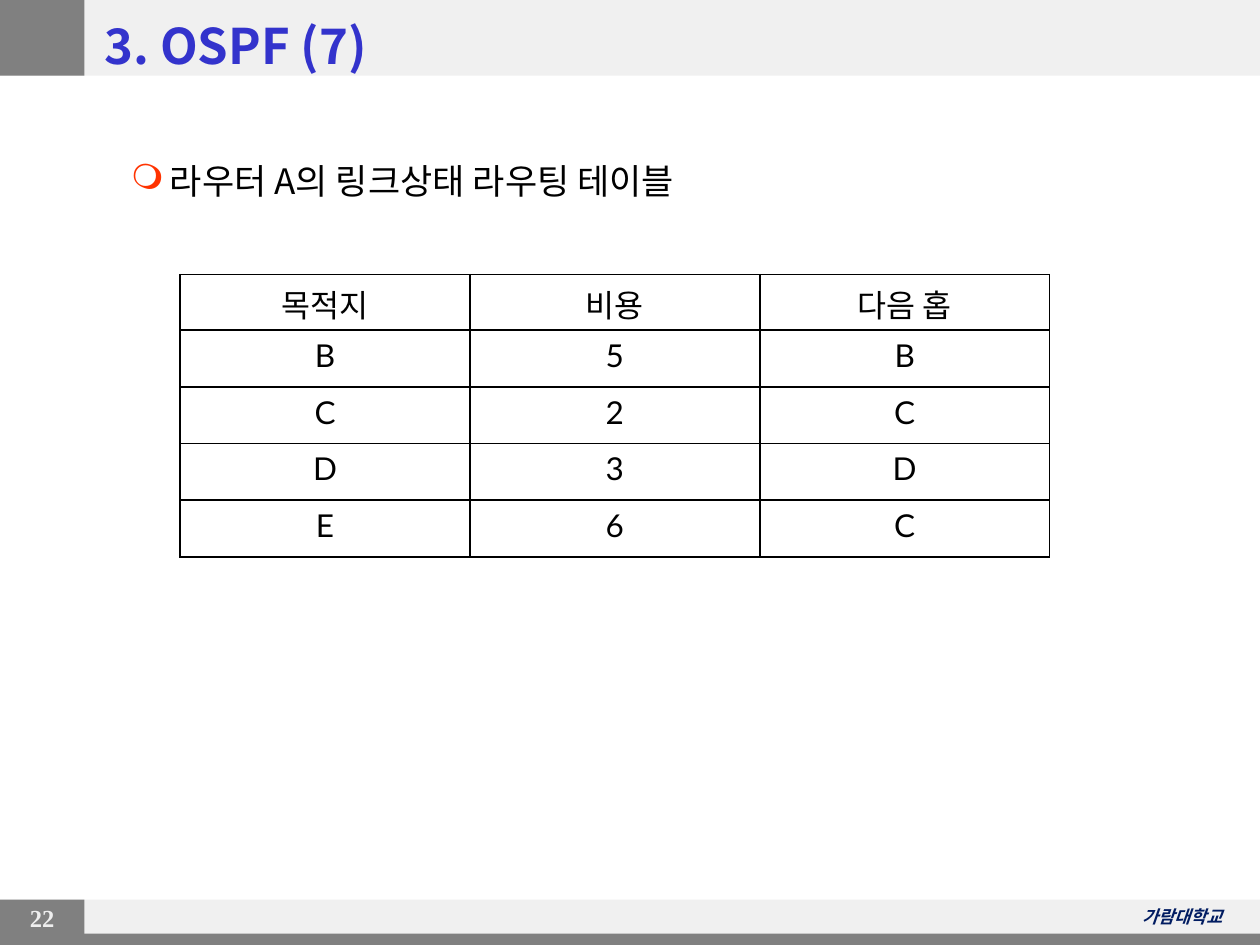
from dataclasses import dataclass

from lxml.etree import SubElement
from pptx import Presentation
from pptx.dml.color import RGBColor
from pptx.enum.shapes import MSO_SHAPE
from pptx.enum.text import MSO_ANCHOR, PP_ALIGN
from pptx.oxml.ns import qn
from pptx.util import Inches, Pt


@dataclass(frozen=True)
class Theme:
    band: str = "F0F0F0"
    accent: str = "808080"
    title: str = "3333CC"
    text: str = "000000"
    bullet: str = "FF3300"
    number: str = "EEEEEE"
    school: str = "011C61"
    korean: str = "Noto Sans CJK KR"
    latin: str = "Lato"
    serif: str = "Times New Roman"
    title_size: int = 28
    body_size: int = 20
    table_size: int = 18
    number_size: int = 14
    school_size: int = 10


class SlideBuilder:
    def __init__(self, slide, theme):
        self.s = slide
        self.theme = theme

    def style(self, p, size, color, font, align=PP_ALIGN.LEFT, bold=False, italic=False):
        p.alignment = align
        f = p.font
        f.size, f.name, f.bold, f.italic = Pt(size), font, bold, italic
        f.color.rgb = RGBColor.from_string(color)
        SubElement(p._p.pPr.find(qn("a:defRPr")), qn("a:ea"), typeface=self.theme.korean)

    def bar(self, x, y, w, h, color):
        sp = self.s.shapes.add_shape(
            MSO_SHAPE.RECTANGLE, Inches(x), Inches(y), Inches(w), Inches(h))
        sp.shadow.inherit = False
        sp.fill.solid()
        sp.fill.fore_color.rgb = RGBColor.from_string(color)
        sp.line.fill.background()

    def text(self, x, y, w, h, text, *style, anchor=MSO_ANCHOR.TOP, **options):
        tf = self.s.shapes.add_textbox(Inches(x), Inches(y), Inches(w), Inches(h)).text_frame
        tf.word_wrap = True
        tf.vertical_anchor = anchor
        p = tf.paragraphs[0]
        p.text = text
        self.style(p, *style, **options)
        return p

    def bullet(self, p, char, color, left, hanging):
        pPr = p._p.get_or_add_pPr()
        pPr.set("marL", str(Inches(left)))
        pPr.set("indent", str(-Inches(hanging)))
        buClr = pPr.makeelement(qn("a:buClr"))
        SubElement(buClr, qn("a:srgbClr"), val=color)
        buChar = pPr.makeelement(qn("a:buChar"), char=char)
        defRPr = pPr.find(qn("a:defRPr"))
        defRPr.addprevious(buClr)
        defRPr.addprevious(buChar)

    def borders(self, cell, color, width):
        tcPr = cell._tc.get_or_add_tcPr()
        for i, side in enumerate(("lnL", "lnR", "lnT", "lnB")):
            ln = tcPr.makeelement(qn(f"a:{side}"), w=str(Pt(width)))
            SubElement(SubElement(ln, qn("a:solidFill")), qn("a:srgbClr"), val=color)
            tcPr.insert(i, ln)

    def table(self, x, y, col_width, row_heights, rows):
        t = self.theme
        table = self.s.shapes.add_table(
            len(rows), len(rows[0]), Inches(x), Inches(y),
            Inches(col_width * len(rows[0])), Inches(sum(row_heights))).table
        table.first_row = table.horz_banding = False
        for col in table.columns:
            col.width = Inches(col_width)
        for row, height, values in zip(table.rows, row_heights, rows):
            row.height = Inches(height)
            for cell, value in zip(row.cells, values):
                cell.text = value
                cell.fill.background()
                self.style(cell.text_frame.paragraphs[0], t.table_size, t.text,
                           t.latin, PP_ALIGN.CENTER)
                self.borders(cell, t.text, 1)


def main():
    prs = Presentation()
    prs.slide_width, prs.slide_height = Inches(10), Inches(7.5)
    t = Theme()
    b = SlideBuilder(prs.slides.add_slide(prs.slide_layouts[6]), t)

    for y, h in ((7.14, 0.36), (0, 0.6)):
        b.bar(0, y, 10, h, t.band)
        b.bar(0, y, 0.67, h, t.accent)
    b.text(0.04, 7.12, 0.59, 0.33, "22", t.number_size, t.number, t.serif,
           PP_ALIGN.CENTER, bold=True)
    b.text(8.15, 7.14, 1.65, 0.27, "가람대학교", t.school_size, t.school, t.korean,
           PP_ALIGN.RIGHT, bold=True, italic=True)
    b.bar(0, 7.41, 10, 0.09, t.accent)

    b.text(0.73, 0.07, 8.82, 0.57, "3. OSPF (7)", t.title_size, t.title, t.korean,
           bold=True, anchor=MSO_ANCHOR.MIDDLE)
    p = b.text(0.44, 1.22, 9.14, 0.5, "라우터 A의 링크상태 라우팅 테이블",
               t.body_size, t.text, t.korean)
    b.bullet(p, "❍", t.bullet, left=0.81, hanging=0.31)

    b.table(1.43, 2.18, 2.3, [0.44] + [0.45] * 4, [
        ("목적지", "비용", "다음 홉"),
        ("B", "5", "B"),
        ("C", "2", "C"),
        ("D", "3", "D"),
        ("E", "6", "C"),
    ])
    prs.save("out.pptx")


if __name__ == "__main__":
    main()
